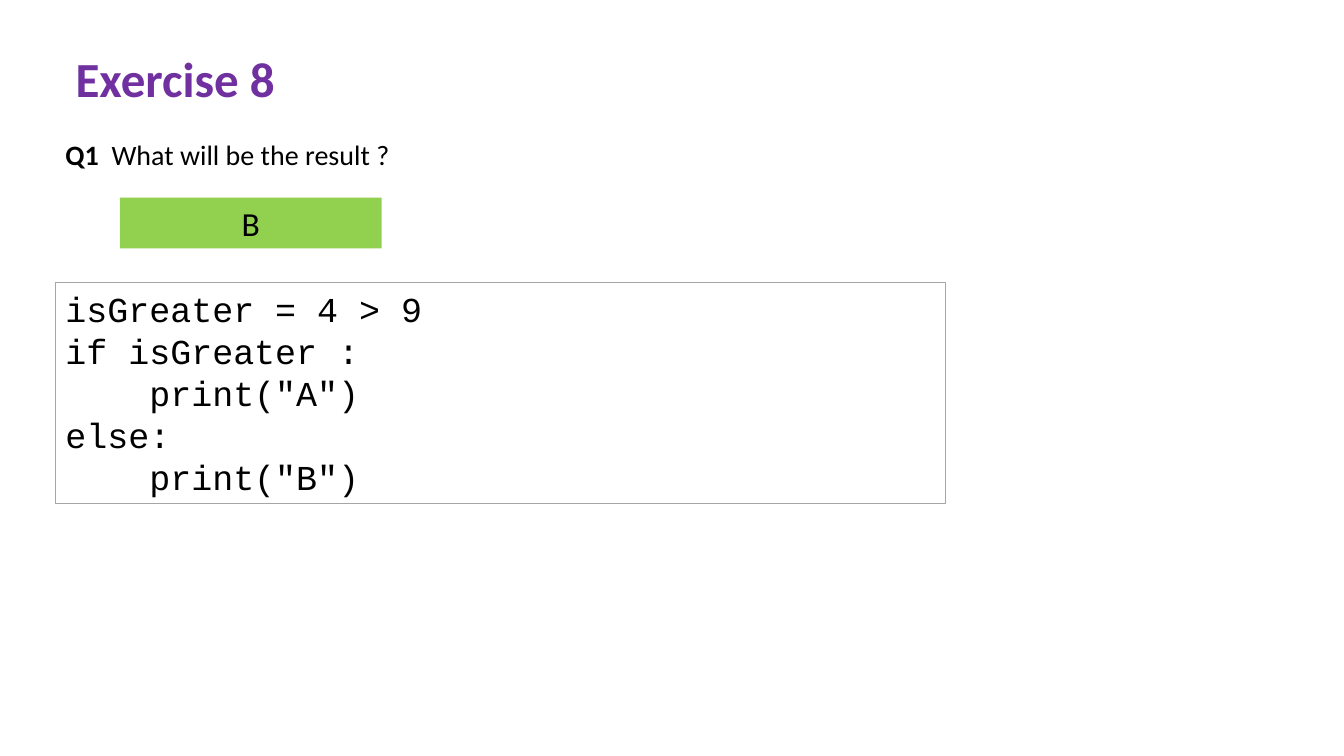
from pptx import Presentation
from pptx.dml.color import RGBColor
from pptx.enum.shapes import MSO_SHAPE
from pptx.enum.text import MSO_ANCHOR, MSO_AUTO_SIZE, PP_ALIGN
from pptx.util import Cm, Pt

BLACK = RGBColor(0x00, 0x00, 0x00)
GREY = RGBColor(0xA6, 0xA6, 0xA6)
PURPLE = RGBColor(0x70, 0x30, 0xA0)
GREEN = RGBColor(0x92, 0xD0, 0x50)
RECT = MSO_SHAPE.RECTANGLE
TOP = MSO_ANCHOR.TOP
FIXED = MSO_AUTO_SIZE.NONE
LEFT, CENTER = PP_ALIGN.LEFT, PP_ALIGN.CENTER

HEAD = {"name": "Calibri", "size": Pt(35), "bold": True}
ASK = {"name": "Calibri", "size": Pt(20), "bold": False}
LABEL = {**ASK, "bold": True}
REPLY = {"name": "Calibri", "size": Pt(24)}
MONO = {"name": "Courier New", "size": Pt(25)}

CODE = '''isGreater = 4 > 9
if isGreater :
    print("A")
else:
    print("B")'''


def write(shape, lines, align=LEFT, color=BLACK, wrap=True):
    """Fill a shape with lines, each a list of (text, format) runs."""
    frame = shape.text_frame
    frame.word_wrap = wrap
    frame.auto_size = FIXED
    frame.vertical_anchor = TOP
    for i, runs in enumerate(lines):
        para = frame.paragraphs[0] if i == 0 else frame.add_paragraph()
        para.alignment = align
        for text, style in runs:
            run = para.add_run()
            run.text = text
            run.font.color.rgb = color
            for key, value in style.items():
                setattr(run.font, key, value)


def add_title(slide, text, box):
    title = slide.shapes.title
    title.left, title.top, title.width, title.height = box
    write(title, [[(text, HEAD)]], color=PURPLE, wrap=False)


def add_text(slide, runs, box):
    write(slide.shapes.add_textbox(*box), [runs], wrap=False)


def add_panel(slide, lines, box, fill=None, line=None, align=LEFT):
    panel = slide.shapes.add_shape(RECT, *box)
    panel.shadow.inherit = False
    if fill:
        panel.fill.solid()
        panel.fill.fore_color.rgb = fill
    else:
        panel.fill.background()
    if line:
        panel.line.color.rgb = line
        panel.line.width = Pt(0.75)
    else:
        panel.line.fill.background()
    write(panel, lines, align)


def main():
    deck = Presentation()
    deck.slide_width, deck.slide_height = Cm(33.87), Cm(19.05)
    slide = deck.slides.add_slide(deck.slide_layouts[5])

    add_title(slide, "Exercise 8", (Cm(1.65), Cm(1.09), Cm(5.59), Cm(1.75)))
    add_text(slide, [("Q1 ", LABEL), (" What will be the result ?", ASK)],
             (Cm(1.4), Cm(3.35), Cm(8.76), Cm(1.12)))
    add_panel(slide, [[("B", REPLY)]],
              (Cm(3.02), Cm(4.98), Cm(6.6), Cm(1.28)),
              fill=GREEN, align=CENTER)
    add_panel(slide, [[(row, MONO)] for row in CODE.split("\n")],
              (Cm(1.4), Cm(7.11), Cm(22.43), Cm(5.59)), line=GREY)

    deck.save("out.pptx")


if __name__ == "__main__":
    main()
